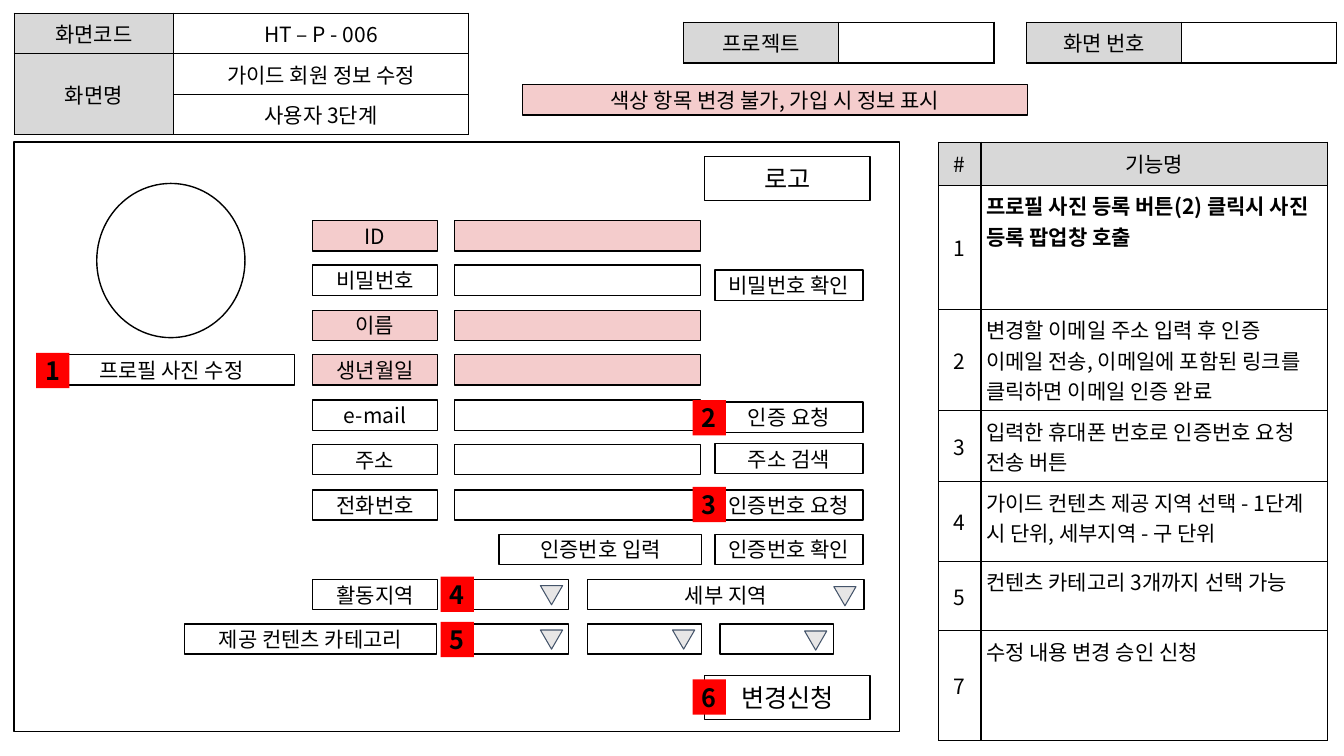
from lxml.etree import SubElement
from pptx import Presentation
from pptx.dml.color import RGBColor
from pptx.enum.shapes import MSO_SHAPE as Kind
from pptx.enum.text import MSO_ANCHOR as Anchor, PP_ALIGN as Align
from pptx.oxml.ns import qn
from pptx.util import Pt

PX = 9144
FONT = "Noto Sans CJK KR"
BLACK = RGBColor(0x00, 0x00, 0x00)
WHITE = RGBColor(0xFF, 0xFF, 0xFF)
GREY = RGBColor(0xD8, 0xD8, 0xD8)
PINK = RGBColor(0xF4, 0xCC, 0xCC)
RED = RGBColor(0xFF, 0x00, 0x00)
PALE = RGBColor(0xE7, 0xE6, 0xE6)
SLATE = RGBColor(0x44, 0x54, 0x6A)

HIGH = 30
LABEL, FIELD, BUTTON = 310, 451, 709

FIELDS = [
    ("ID", PINK),
    ("비밀번호", WHITE),
    ("이름", PINK),
    ("생년월일", PINK),
    ("e-mail", WHITE),
    ("주소", WHITE),
    ("전화번호", WHITE),
]
BUTTONS = [
    ("비밀번호 확인", 268),
    ("인증 요청", 399),
    ("주소 검색", 440),
    ("인증번호 요청", 486),
    ("인증번호 확인", 530),
]
ARROWS = [(536, 581), (827, 582), (536, 625), (667, 625), (798, 626)]
BADGES = [
    ("1", 36, 350),
    ("2", 687, 397),
    ("3", 687, 483),
    ("4", 437, 572),
    ("5", 437, 617),
    ("6", 687, 674),
]
SCREEN = [
    ["화면코드", "HT – P - 006"],
    ["화면명", "가이드 회원 정보 수정"],
    ["", "사용자 3단계"],
]
NOTES = [
    ["#", "기능명"],
    ["1", "프로필 사진 등록 버튼(2) 클릭시 사진 등록 팝업창 호출"],
    ["2", "변경할 이메일 주소 입력 후 인증 이메일 전송, 이메일에 포함된 링크를 클릭하면 이메일 인증 완료"],
    ["3", "입력한 휴대폰 번호로 인증번호 요청 전송 버튼"],
    ["4", "가이드 컨텐츠 제공 지역 선택 - 1단계 시 단위, 세부지역 - 구 단위"],
    ["5", "컨텐츠 카테고리 3개까지 선택 가능"],
    ["7", "수정 내용 변경 승인 신청"],
]


def row_top(row):
    return 219 + 89 * row // 2


def write(frame, text, size=15, bold=False, align=Align.CENTER):
    frame.text = text
    for para in frame.paragraphs:
        para.alignment = align
        for run in para.runs:
            font = run.font
            font.name, font.size, font.bold = FONT, Pt(size), bold
            font.color.rgb = BLACK
            SubElement(run._r.get_or_add_rPr(), qn("a:ea"), typeface=FONT)


def inset(item):
    item.margin_left = item.margin_right = 5 * PX
    item.margin_top = item.margin_bottom = 5 * PX
    item.vertical_anchor = Anchor.MIDDLE


def draw(slide, kind, x, y, w, h, fill=WHITE, line=BLACK, width=1):
    shape = slide.shapes.add_shape(kind, x * PX, y * PX, w * PX, h * PX)
    shape.shadow.inherit = False
    shape.fill.solid()
    shape.fill.fore_color.rgb = fill
    if line is None:
        shape.line.fill.background()
    else:
        shape.line.color.rgb = line
        shape.line.width = Pt(width)
    return shape


def box(slide, x, y, w, h=HIGH, text="", fill=WHITE, line=BLACK, size=15, bold=False):
    shape = draw(slide, Kind.RECTANGLE, x, y, w, h, fill, line)
    if text:
        frame = shape.text_frame
        frame.word_wrap = True
        inset(frame)
        write(frame, text, size, bold)


def arrow(slide, x, y):
    draw(slide, Kind.ISOSCELES_TRIANGLE, x, y, 22, 19, PALE, SLATE, 0.75).rotation = 180


def border(cell):
    props = cell._tc.get_or_add_tcPr()
    for side in ("lnL", "lnR", "lnT", "lnB"):
        edge = SubElement(props, qn("a:" + side), w=str(Pt(1)))
        paint = SubElement(edge, qn("a:solidFill"))
        SubElement(paint, qn("a:srgbClr"), val=str(BLACK))


def grid(slide, x, y, cols, rows, texts):
    frame = slide.shapes.add_table(
        len(rows), len(cols), x * PX, y * PX, sum(cols) * PX, sum(rows) * PX
    )
    table = frame.table
    table.first_row = table.horz_banding = False
    for col, w in zip(table.columns, cols):
        col.width = w * PX
    for row, h in zip(table.rows, rows):
        row.height = h * PX
    for r, line in enumerate(texts):
        for c, text in enumerate(line):
            cell = table.cell(r, c)
            border(cell)
            cell.fill.solid()
            cell.fill.fore_color.rgb = GREY if c == 0 else WHITE
            inset(cell)
            write(cell.text_frame, text)
    return table


def notes(slide):
    table = grid(slide, 931, 141, [42, 344], [43, 123, 95, 67, 79, 69, 109], NOTES)
    table.cell(0, 1).fill.fore_color.rgb = GREY
    for r in range(1, len(NOTES)):
        table.cell(r, 0).fill.fore_color.rgb = WHITE
        cell = table.cell(r, 1)
        cell.vertical_anchor = Anchor.TOP
        write(cell.text_frame, NOTES[r][1], bold=r == 1, align=Align.LEFT)


def header(slide):
    table = grid(slide, 14, 13, [158, 293], [30, 30, 30], SCREEN)
    table.cell(1, 0).merge(table.cell(2, 0))
    for text, x in (("프로젝트", 678), ("화면 번호", 1018)):
        grid(slide, x, 22, [154, 154], [29], [[text, ""]])
    box(slide, 518, 84, 501, text="색상 항목 변경 불가, 가입 시 정보 표시", fill=PINK)


def form(slide):
    box(slide, 14, 141, 878, 585)
    draw(slide, Kind.OVAL, 96, 182, 147, 153)
    box(slide, 48, 352, 244, text="프로필 사진 수정")
    for text, y in (("로고", 155), ("변경신청", 670)):
        box(slide, 699, y, 164, 44, text, size=18)
    for row, (text, fill) in enumerate(FIELDS):
        box(slide, LABEL, row_top(row), 124, text=text, fill=fill)
        box(slide, FIELD, row_top(row), 244, fill=fill)
    box(slide, 495, row_top(7), 201, text="인증번호 입력")
    for text, y in BUTTONS:
        box(slide, BUTTON, y, 147, text=text)
    box(slide, LABEL, row_top(8), 124, text="활동지역")
    box(slide, FIELD, row_top(8), 113)
    box(slide, 583, row_top(8), 274, text="세부 지역")
    box(slide, 183, row_top(9), 250, text="제공 컨텐츠 카테고리")
    for x in (FIELD, 583, 714):
        box(slide, x, row_top(9), 113)
    for x, y in ARROWS:
        arrow(slide, x, y)
    for text, x, y in BADGES:
        box(slide, x, y, 33, 35, text, RED, None, 18, True)


def main():
    deck = Presentation()
    deck.slide_width, deck.slide_height = 1333 * PX, 750 * PX
    slide = deck.slides.add_slide(deck.slide_layouts[6])
    header(slide)
    form(slide)
    notes(slide)
    deck.save("out.pptx")


if __name__ == "__main__":
    main()
